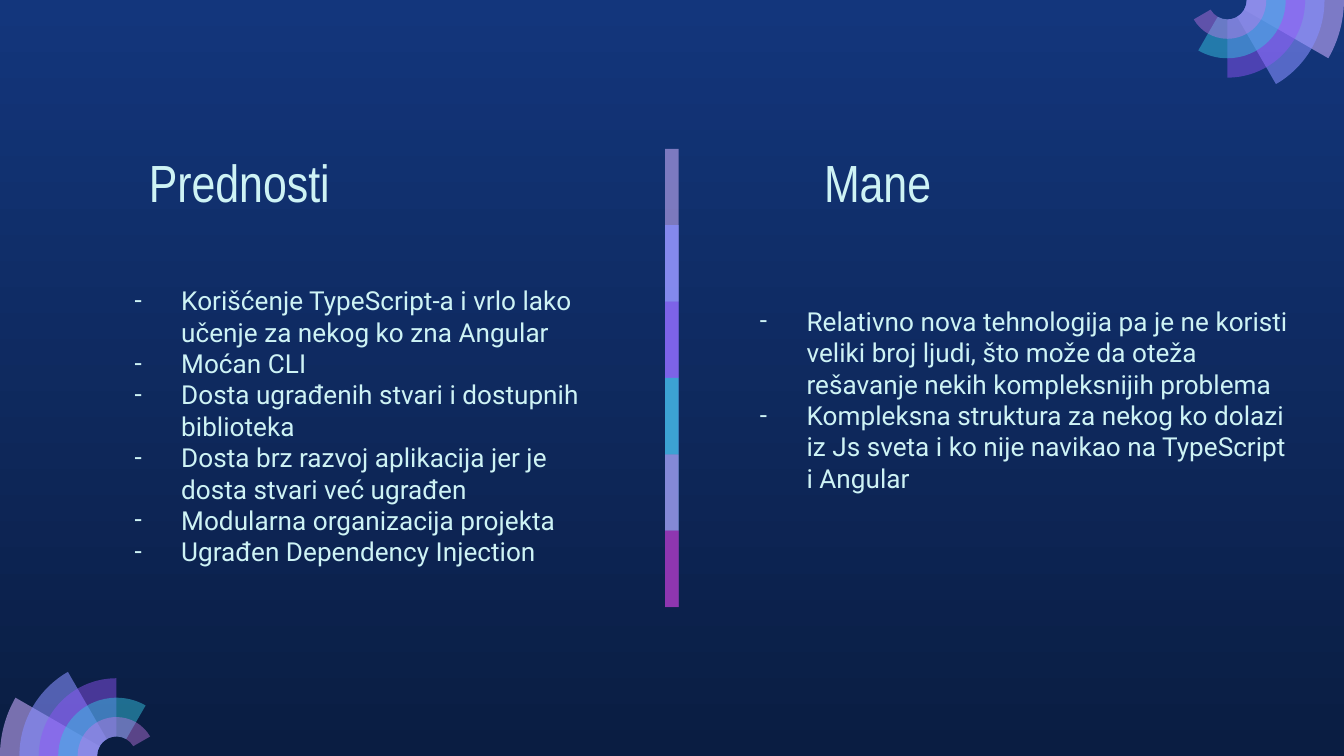
from dataclasses import dataclass
from math import cos, radians, sin, tan

from lxml.etree import SubElement
from pptx import Presentation
from pptx.dml.color import RGBColor
from pptx.enum.shapes import MSO_SHAPE
from pptx.enum.text import MSO_ANCHOR, MSO_AUTO_SIZE, PP_ALIGN
from pptx.oxml.ns import qn
from pptx.util import Inches, Pt

W, H = Inches(10), Inches(5.625)
COL, ROW = W / 100, H / 100
FAN = 8.67 * COL


@dataclass(frozen=True)
class Theme:
    """Colours, fonts and type sizes of the slide."""
    text: str = "CEF3F5"
    sky: tuple = ("13367C", "0A1D42")
    bars: tuple = (("C8AEF8", 59), ("878FFF", 74), ("9154F8", 53),
                   ("35C2DF", 76), ("CA7BEB", 56), ("972CB4", 74))
    rings: tuple = (("C8ACFD", 58), ("878FFF", 58), ("9154F8", 46),
                    ("35C2DF", 49), ("CA7BEB", 42))
    title_font: str = "Arial Narrow"
    title_size: int = 28
    body_font: str = "Roboto"
    body_size: int = 14


T = Theme()

PROS = ("Korišćenje TypeScript-a i vrlo lako učenje za nekog ko zna Angular",
        "Moćan CLI",
        "Dosta ugrađenih stvari i dostupnih biblioteka",
        "Dosta brz razvoj aplikacija jer je dosta stvari već ugrađen",
        "Modularna organizacija projekta",
        "Ugrađen Dependency Injection")
CONS = ("Relativno nova tehnologija pa je ne koristi veliki broj ljudi, "
        "što može da oteža rešavanje nekih kompleksnijih problema",
        "Kompleksna struktura za nekog ko dolazi iz Js sveta i ko nije "
        "navikao na TypeScript i Angular")


def set_all(obj, values):
    """Set every attribute named in a dict."""
    for name, value in values.items():
        setattr(obj, name, value)


def box(x, y, w, h):
    """Turn grid columns and rows into a position dict."""
    return {"left": round(x * COL), "top": round(y * ROW),
            "width": round(w * COL), "height": round(h * ROW)}


def paint(sp, color, alpha):
    """Give a shape a translucent fill with no line or shadow."""
    sp.shadow.inherit = False
    sp.line.fill.background()
    sp.fill.solid()
    sp.fill.fore_color.rgb = RGBColor.from_string(color)
    clr = sp.fill._xPr.find(qn("a:solidFill"))[0]
    SubElement(clr, qn("a:alpha"), val=str(alpha * 1000))


def add_background(s):
    """Fill the slide with a top-to-bottom gradient."""
    fill = s.background.fill
    fill.gradient()
    fill.gradient_angle = 270
    for stop, color in zip(fill.gradient_stops, T.sky):
        stop.color.rgb = RGBColor.from_string(color)


def add_divider(s, x, y, w, step):
    """Stack overlapping bars, the last one half as tall."""
    for i, (color, alpha) in enumerate(T.bars):
        h = step * min(2, len(T.bars) - i)
        sp = s.shapes.add_shape(MSO_SHAPE.RECTANGLE, **box(x, y + i * step, w, h))
        paint(sp, color, alpha)


def polar(cx, cy, radius, angle, lean=0):
    """Find a point on a circle, moved along its tangent by a share of the radius."""
    a = radians(angle)
    return (round(cx + radius * (cos(a) - lean * sin(a))),
            round(cy + radius * (sin(a) + lean * cos(a))))


def add_sector(s, cx, cy, outer, inner, start, end):
    """Draw a ring sector with one curve for each quarter turn."""
    knots = sorted({start, min(start + 90, end), end})
    stops = [(outer, a) for a in knots] + [(inner, a) for a in reversed(knots)]
    first, *rest = [polar(cx, cy, r, a) for r, a in stops]
    builder = s.shapes.build_freeform(*first)
    builder.add_line_segments(rest)
    sp = builder.convert_to_shape()
    lines = list(sp._element.iter(qn("a:lnTo")))
    for line, (r, a), (r2, b) in zip(lines, stops, stops[1:]):
        if r == r2:
            lean = 4 / 3 * tan(radians(b - a) / 4)
            line.tag = qn("a:cubicBezTo")
            controls = polar(cx, cy, r, a, lean), polar(cx, cy, r, b, -lean)
            for i, (x, y) in enumerate(controls):
                pt = SubElement(line, qn("a:pt"), x=str(x - sp.left), y=str(y - sp.top))
                line.insert(i, pt)
    return sp


def add_fan(s, cx, cy, start):
    """Draw ring sectors that shrink by one step and widen by 30 degrees."""
    step = FAN / (len(T.rings) + 1)
    for i, (color, alpha) in enumerate(T.rings):
        sp = add_sector(s, cx, cy, FAN - i * step, step, start, start + 30 * (i + 1))
        paint(sp, color, alpha)


def write(tf, lines, font, size, anchor):
    """Write one left-aligned paragraph per line."""
    set_all(tf, {"word_wrap": True, "auto_size": MSO_AUTO_SIZE.NONE,
                 "vertical_anchor": anchor,
                 "margin_left": Inches(0.1), "margin_right": Inches(0.1),
                 "margin_top": Inches(0.1), "margin_bottom": Inches(0.1)})
    for i, line in enumerate(lines):
        p = tf.add_paragraph() if i else tf.paragraphs[0]
        p.alignment = PP_ALIGN.LEFT
        r = p.add_run()
        r.text = line
        set_all(r.font, {"name": font, "size": Pt(size)})
        r.font.color.rgb = RGBColor.from_string(T.text)


def add_heading(sp, text, x):
    """Place and fill a column heading."""
    set_all(sp, box(x, 11.2, 28, 18.8))
    write(sp.text_frame, [text], T.title_font, T.title_size, MSO_ANCHOR.BOTTOM)


def add_list(s, lines, x, y, w):
    """Add a list with dash bullets."""
    tf = s.shapes.add_textbox(**box(x, y, w, 35)).text_frame
    write(tf, lines, T.body_font, T.body_size, MSO_ANCHOR.TOP)
    for p in tf.paragraphs:
        pPr = p._p.get_or_add_pPr()
        pPr.set("marL", str(Inches(0.5)))
        pPr.set("indent", str(Pt(-25)))
        clr = SubElement(pPr, qn("a:buClr"))
        SubElement(clr, qn("a:srgbClr"), val=T.text)
        SubElement(pPr, qn("a:buFont"), typeface=T.body_font)
        SubElement(pPr, qn("a:buChar"), char="-")


def main():
    """Build and save the slide."""
    prs = Presentation()
    set_all(prs, {"slide_width": W, "slide_height": H})
    s = prs.slides.add_slide(prs.slide_layouts[5])
    add_background(s)
    add_divider(s, 49.5, 19.7, 1, 10.1)
    add_heading(s.shapes.add_textbox(0, 0, 0, 0), "Mane", 60.33)
    add_list(s, CONS, 54.03, 38.6, 43.3)
    add_fan(s, FAN, H, 180)
    add_fan(s, W - FAN, 0, 0)
    add_heading(s.shapes.title, "Prednosti", 10.07)
    add_list(s, PROS, 7.5, 35.87, 38.9)
    prs.save("out.pptx")


if __name__ == "__main__":
    main()
